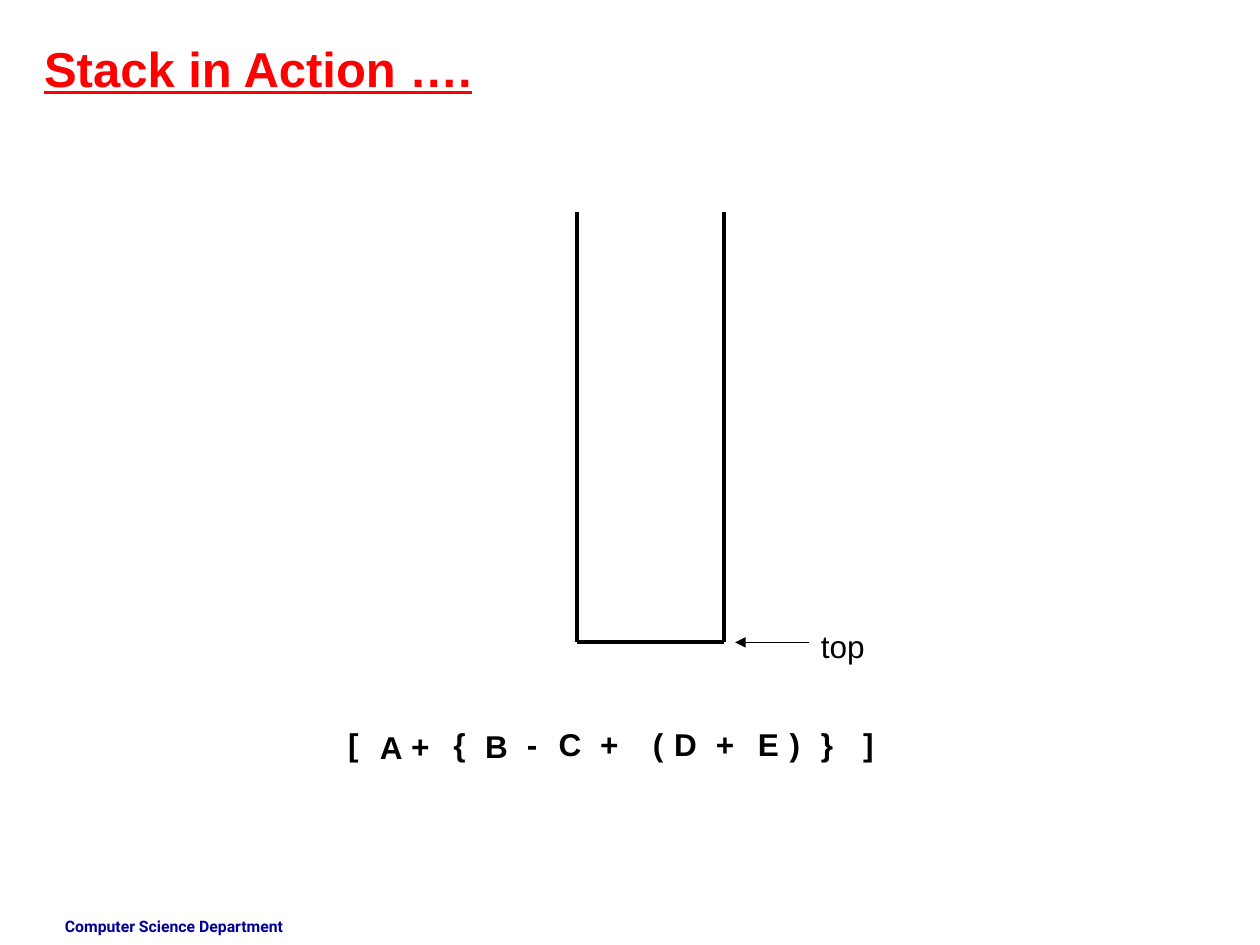
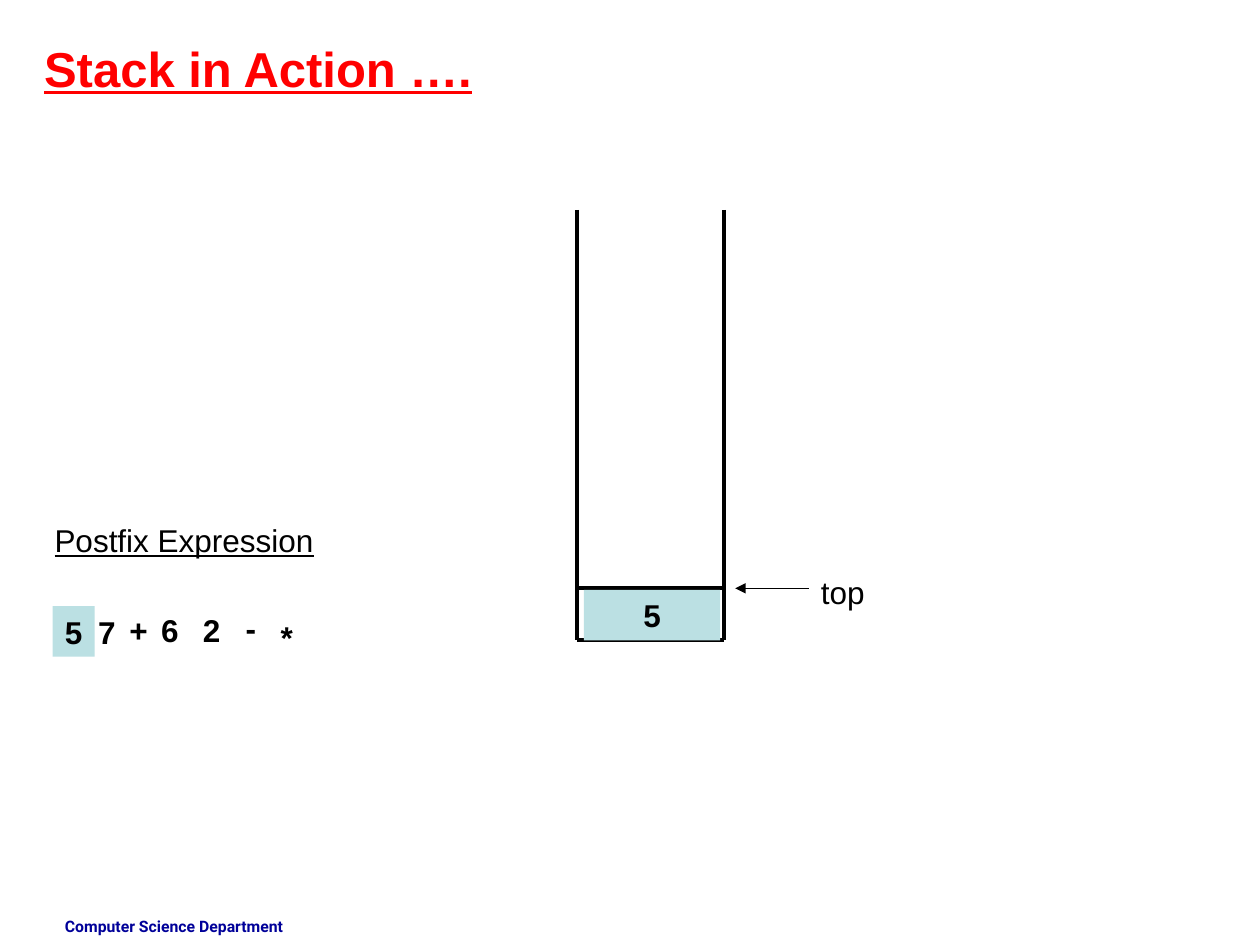
"""Build two slides that show a stack at work on bracketed and postfix expressions."""
import dataclasses

import lxml.etree
import pptx
import pptx.dml.color
import pptx.enum.shapes
import pptx.enum.text
import pptx.oxml.ns
import pptx.util

Cm = pptx.util.Cm
Pt = pptx.util.Pt
Color = pptx.dml.color.RGBColor
qn = pptx.oxml.ns.qn
Align = pptx.enum.text.PP_ALIGN


@dataclasses.dataclass(frozen=True)
class Theme:
    ink: Color = Color(0x00, 0x00, 0x00)
    title: Color = Color(0xFF, 0x00, 0x00)
    footer: Color = Color(0x00, 0x00, 0x99)
    item: Color = Color(0xBB, 0xE0, 0xE3)
    font: str = "Arial"
    footer_font: str = "Roboto"
    title_size: int = 28
    body_size: int = 18
    footer_size: int = 9
    wall: float = 2.25
    arrow: float = 0.75


theme = Theme()


def write(box, text, size=theme.body_size, color=theme.ink, font=theme.font,
          bold=False, underline=False, align=Align.LEFT):
    frame = box.text_frame
    frame.word_wrap = True
    frame.vertical_anchor = pptx.enum.text.MSO_ANCHOR.TOP
    frame.margin_left = frame.margin_right = Cm(0.25)
    frame.margin_top = frame.margin_bottom = Cm(0.13)
    para = frame.paragraphs[0]
    para.alignment = align
    span = para.add_run()
    span.text = text
    span.font.name = font
    span.font.size = Pt(size)
    span.font.bold = bold
    span.font.underline = underline
    span.font.color.rgb = color


def draw_line(page, x1, y1, x2, y2, width=theme.wall):
    line = page.shapes.add_connector(
        pptx.enum.shapes.MSO_CONNECTOR.STRAIGHT, Cm(x1), Cm(y1), Cm(x2), Cm(y2))
    line.line.color.rgb = theme.ink
    line.line.width = Pt(width)
    lxml.etree.SubElement(line._element.spPr, qn("a:effectLst"))
    return line


deck = pptx.Presentation()
deck.slide_width, deck.slide_height = Cm(25.4), Cm(19.05)

stack_left, stack_right, stack_depth = 11.64, 14.6, 8.68
box_height, narrow, wide = 1.02, 0.85, 1.06

slides = [
    {
        "stack_top": 4.27, "pointer": 12.95, "items": [], "labels": [],
        "symbols": [
            ("[", 6.77, 14.48, narrow), ("A", 7.41, 14.55, wide),
            ("+", 8.04, 14.53, narrow), ("{", 8.89, 14.48, narrow),
            ("B", 9.53, 14.53, wide), ("-", 10.37, 14.48, narrow),
            ("C", 11.01, 14.48, wide), ("+", 11.85, 14.48, wide),
            ("(", 12.91, 14.48, wide), ("D", 13.34, 14.48, wide),
            ("+", 14.18, 14.48, wide), ("E", 15.03, 14.48, wide),
            (")", 15.67, 14.48, wide), ("}", 16.3, 14.48, wide),
            ("]", 17.15, 14.48, wide),
        ],
    },
    {
        "stack_top": 4.23, "pointer": 11.86,
        "items": [("5", 11.77, 11.89, 2.75, Align.CENTER),
                  ("5", 1.06, 12.22, narrow, Align.LEFT)],
        "labels": [("Postfix Expression", 0.85, 10.37, 6.99)],
        "symbols": [
            ("7", 1.73, 12.22, wide), ("+", 2.36, 12.19, narrow),
            ("6", 3.0, 12.19, narrow), ("2", 3.84, 12.19, wide),
            ("-", 4.7, 12.14, narrow), ("*", 5.41, 12.32, wide),
        ],
    },
]

for content in slides:
    page = deck.slides.add_slide(deck.slide_layouts[5])
    title = page.shapes.title
    title.left, title.top, title.width, title.height = Cm(0.64), Cm(0.64), Cm(16.72), Cm(1.45)
    write(title, "Stack in Action ….", theme.title_size, theme.title, bold=True, underline=True)

    footer = page.shapes.add_textbox(Cm(1.06), Cm(18.36), Cm(5.93), Cm(0.69))
    write(footer, "Computer Science Department", theme.footer_size, theme.footer,
          theme.footer_font, bold=True)

    stack_top, pointer = content["stack_top"], content["pointer"]
    stack_bottom = stack_top + stack_depth
    for wall in (stack_left, stack_right):
        draw_line(page, wall, stack_top, wall, stack_bottom)
    draw_line(page, stack_left, stack_bottom, stack_right, stack_bottom)
    if pointer < stack_bottom - 0.1:
        draw_line(page, stack_left, pointer, stack_right, pointer)

    for text, left, top, width, align in content["items"]:
        item = page.shapes.add_shape(pptx.enum.shapes.MSO_SHAPE.RECTANGLE,
                                     Cm(left), Cm(top), Cm(width), Cm(box_height))
        item.shadow.inherit = False
        item.fill.solid()
        item.fill.fore_color.rgb = theme.item
        item.line.fill.background()
        write(item, text, bold=True, align=align)

    arrow = draw_line(page, 16.3, pointer, 14.82, pointer, theme.arrow)
    lxml.etree.SubElement(arrow.line._get_or_add_ln(), qn("a:tailEnd"), type="triangle")
    top_label = page.shapes.add_textbox(Cm(16.3), Cm(pointer - 0.43), Cm(3.81), Cm(box_height))
    write(top_label, "top")

    for text, left, top, width in content["labels"]:
        label = page.shapes.add_textbox(Cm(left), Cm(top), Cm(width), Cm(box_height))
        write(label, text, underline=True)
    for text, left, top, width in content["symbols"]:
        symbol = page.shapes.add_textbox(Cm(left), Cm(top), Cm(width), Cm(box_height))
        write(symbol, text, bold=True)

deck.save("out.pptx")
